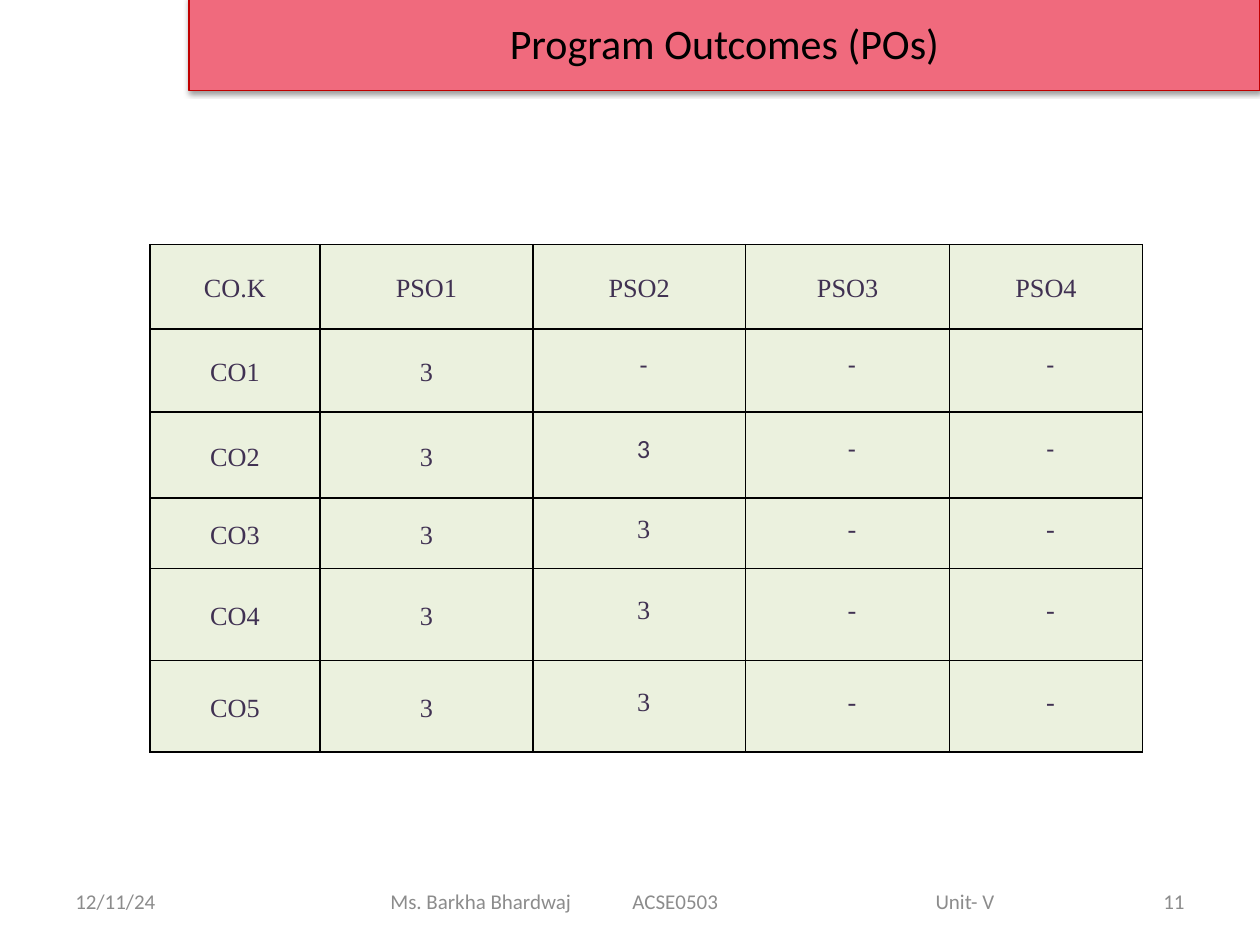
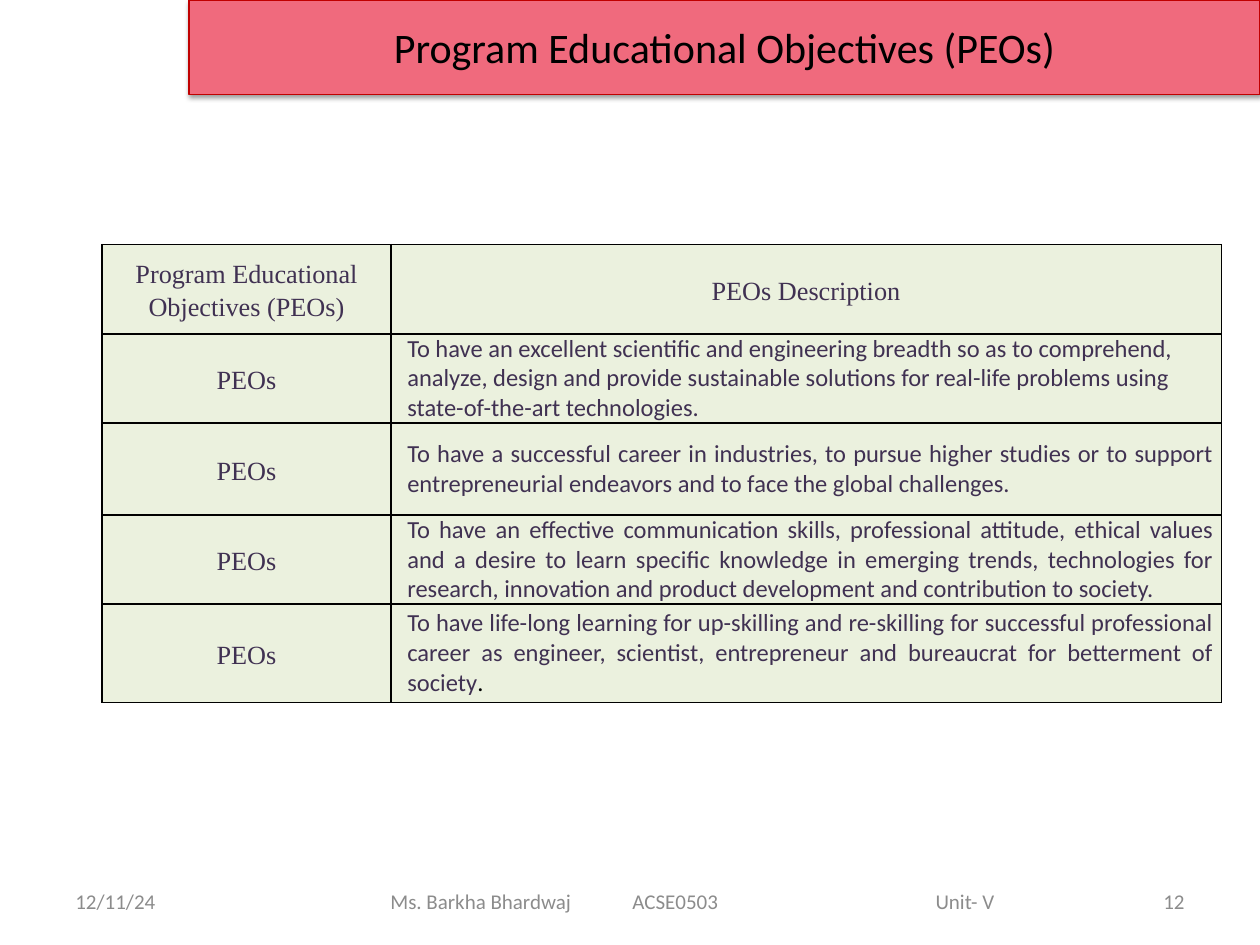
from dataclasses import dataclass

from lxml.etree import SubElement
from pptx import Presentation
from pptx.dml.color import RGBColor
from pptx.enum.shapes import MSO_SHAPE
from pptx.enum.text import MSO_ANCHOR, PP_ALIGN
from pptx.oxml import parse_xml
from pptx.oxml.ns import nsdecls, qn
from pptx.slide import Slide
from pptx.table import _Cell
from pptx.text.text import TextFrame
from pptx.util import Cm, Pt

# Shared look
SANS, SERIF = "Calibri", "Times New Roman"
BLACK, GREY, PLUM = "000000", "8C8C8C", "403152"
ROSE, RED, CREAM = "F06A7D", "C00000", "EBF1DE"
LEFT, MID, RIGHT, FULL = (
    PP_ALIGN.LEFT, PP_ALIGN.CENTER, PP_ALIGN.RIGHT, PP_ALIGN.JUSTIFY)
FOOT_TOP, FOOT_HIGH = 17.65, 1.02


@dataclass
class Item:
    """Text of one table cell with its format."""
    text: str
    font: str = SERIF
    size: float = 15
    align: PP_ALIGN = MID
    space: float | Pt | None = 1.15
    indent: float = 0
    end: str = ""


@dataclass
class Grid:
    left: float
    cols: list[float]
    rows: list[float]
    items: list[list[Item]]
    top: float = 4.93


@dataclass
class Page:
    title: str
    top: float
    number: int
    grid: Grid


def color(code: str) -> RGBColor:
    return RGBColor.from_string(code)


def write(frame: TextFrame, text: str, *, font: str = SANS, size: float = 12,
          ink: str = GREY, align: PP_ALIGN = LEFT, space=None,
          indent: float = 0, end: str = "", tabs: tuple = ()) -> None:
    """Fill a frame with one paragraph; end is a closing run in black."""
    frame.word_wrap = True
    para = frame.paragraphs[0]
    props = para._p.get_or_add_pPr()
    if tabs:
        stops = SubElement(props, qn("a:tabLst"))
        for stop in tabs:
            SubElement(stops, qn("a:tab"), pos=str(Cm(stop)), algn="l")
    if indent:
        props.set("marL", str(Cm(indent)))
        props.set("indent", "0")
    para.alignment = align
    if space is not None:
        para.line_spacing = space
    for part, tone in ((text, ink), (end, BLACK)):
        if part:
            run = para.add_run()
            run.text = part
            run.font.name, run.font.size = font, Pt(size)
            run.font.bold = False
            run.font.color.rgb = color(tone)


def label(slide: Slide, left: float, width: float, text: str, **look) -> None:
    """Place one footer text."""
    box = slide.shapes.add_textbox(
        Cm(left), Cm(FOOT_TOP), Cm(width), Cm(FOOT_HIGH))
    box.text_frame.vertical_anchor = MSO_ANCHOR.MIDDLE
    write(box.text_frame, text, **look)


def footer(slide: Slide, number: int) -> None:
    label(slide, 1.27, 2.97, "12/11/24")
    label(slide, 7.62, 13.34, "Ms. Barkha Bhardwaj\tACSE0503\tUnit- V",
          tabs=(4.88, 10.99))
    label(slide, 22.66, 1.47, str(number), align=RIGHT)


def band(slide: Slide, title: str, top: float) -> None:
    """Draw the title band with its soft shadow."""
    bar = slide.shapes.add_shape(
        MSO_SHAPE.RECTANGLE, Cm(3.81), Cm(top), Cm(21.59), Cm(1.9))
    bar.fill.solid()
    bar.fill.fore_color.rgb = color(ROSE)
    bar.line.color.rgb = color(RED)
    bar.line.width = Pt(0.75)
    bar.shadow.inherit = False
    glow = bar._element.spPr.find(qn("a:effectLst"))
    glow.append(parse_xml(
        f'<a:outerShdw {nsdecls("a")} blurRad="{Pt(3.1)}" dist="{Pt(1.6)}" '
        f'dir="5400000" rotWithShape="0"><a:srgbClr val="{BLACK}">'
        '<a:alpha val="38000"/></a:srgbClr></a:outerShdw>'))
    bar.text_frame.vertical_anchor = MSO_ANCHOR.MIDDLE
    write(bar.text_frame, title, size=24, ink=BLACK, align=MID)


def fill(cell: _Cell, item: Item) -> None:
    """Set the ground, borders and text of one cell."""
    cell.fill.solid()
    cell.fill.fore_color.rgb = color(CREAM)
    cell.vertical_anchor = MSO_ANCHOR.MIDDLE
    cell.margin_left = cell.margin_right = Cm(0.15)
    cell.margin_top = cell.margin_bottom = 0
    props = cell._tc.get_or_add_tcPr()
    for spot, side in enumerate("LRTB"):
        props.insert(spot, parse_xml(
            f'<a:ln{side} {nsdecls("a")} w="{Pt(1)}"><a:solidFill>'
            f'<a:srgbClr val="{BLACK}"/></a:solidFill></a:ln{side}>'))
    write(cell.text_frame, item.text, font=item.font, size=item.size,
          ink=PLUM, align=item.align, space=item.space, indent=item.indent,
          end=item.end)


def table(slide: Slide, grid: Grid) -> None:
    sheet = slide.shapes.add_table(
        len(grid.rows), len(grid.cols), Cm(grid.left), Cm(grid.top),
        Cm(sum(grid.cols)), Cm(sum(grid.rows))).table
    sheet.first_row = sheet.horz_banding = False
    for col, width in zip(sheet.columns, grid.cols):
        col.width = Cm(width)
    for row, high, items in zip(sheet.rows, grid.rows, grid.items):
        row.height = Cm(high)
        for cell, item in zip(row.cells, items):
            fill(cell, item)


def mark(text: str, font: str) -> Item:
    return Item(text, font, space=Pt(12.3), indent=0.18)


def goal(text: str, align: PP_ALIGN = FULL, end: str = "") -> Item:
    return Item(text, SANS, 14, align, None, 0.18, end)


# Content: course outcomes against program outcomes
MARKS = [("-", SANS), ("3", SANS), ("3", SERIF), ("3", SERIF), ("3", SERIF)]
SCORES = [[Item(head) for head in ("CO.K", "PSO1", "PSO2", "PSO3", "PSO4")]]
SCORES += [
    [Item(f"CO{n}"), Item("3")] + [mark(t, font) for t in (second, "-", "-")]
    for n, (second, font) in enumerate(MARKS, 1)]

# Content: educational objectives
GOALS = [
    goal("To have an excellent scientific and engineering breadth so as to "
         "comprehend, analyze, design and provide sustainable solutions for "
         "real-life problems using state-of-the-art technologies.", LEFT),
    goal("To have a successful career in industries, to pursue higher studies "
         "or to support entrepreneurial endeavors and to face the global "
         "challenges."),
    goal("To have an effective communication skills, professional attitude, "
         "ethical values and a desire to learn specific knowledge in emerging "
         "trends, technologies for research, innovation and product "
         "development and contribution to society."),
    goal("To have life-long learning for up-skilling and re-skilling for "
         "successful professional career as engineer, scientist, entrepreneur "
         "and bureaucrat for betterment of society", end="."),
]
AIMS = [[Item("Program Educational Objectives (PEOs)"),
         Item("PEOs Description")]]
AIMS += [[Item("PEOs"), aim] for aim in GOALS]

PAGES = [
    Page("Program Outcomes (POs)", -0.08, 11,
         Grid(3.02, [3.43, 4.29, 4.29, 4.11, 3.89],
              [1.7, 1.68, 1.73, 1.42, 1.85, 1.85], SCORES)),
    Page("Program Educational Objectives (PEOs)", 0, 12,
         Grid(2.06, [5.82, 16.74], [1.8, 1.8, 1.85, 1.8, 1.98], AIMS)),
]


def main() -> None:
    deck = Presentation()
    deck.slide_width, deck.slide_height = Cm(25.4), Cm(19.05)
    for page in PAGES:
        slide = deck.slides.add_slide(deck.slide_layouts[6])
        table(slide, page.grid)
        band(slide, page.title, page.top)
        footer(slide, page.number)
    deck.save("out.pptx")


if __name__ == "__main__":
    main()
